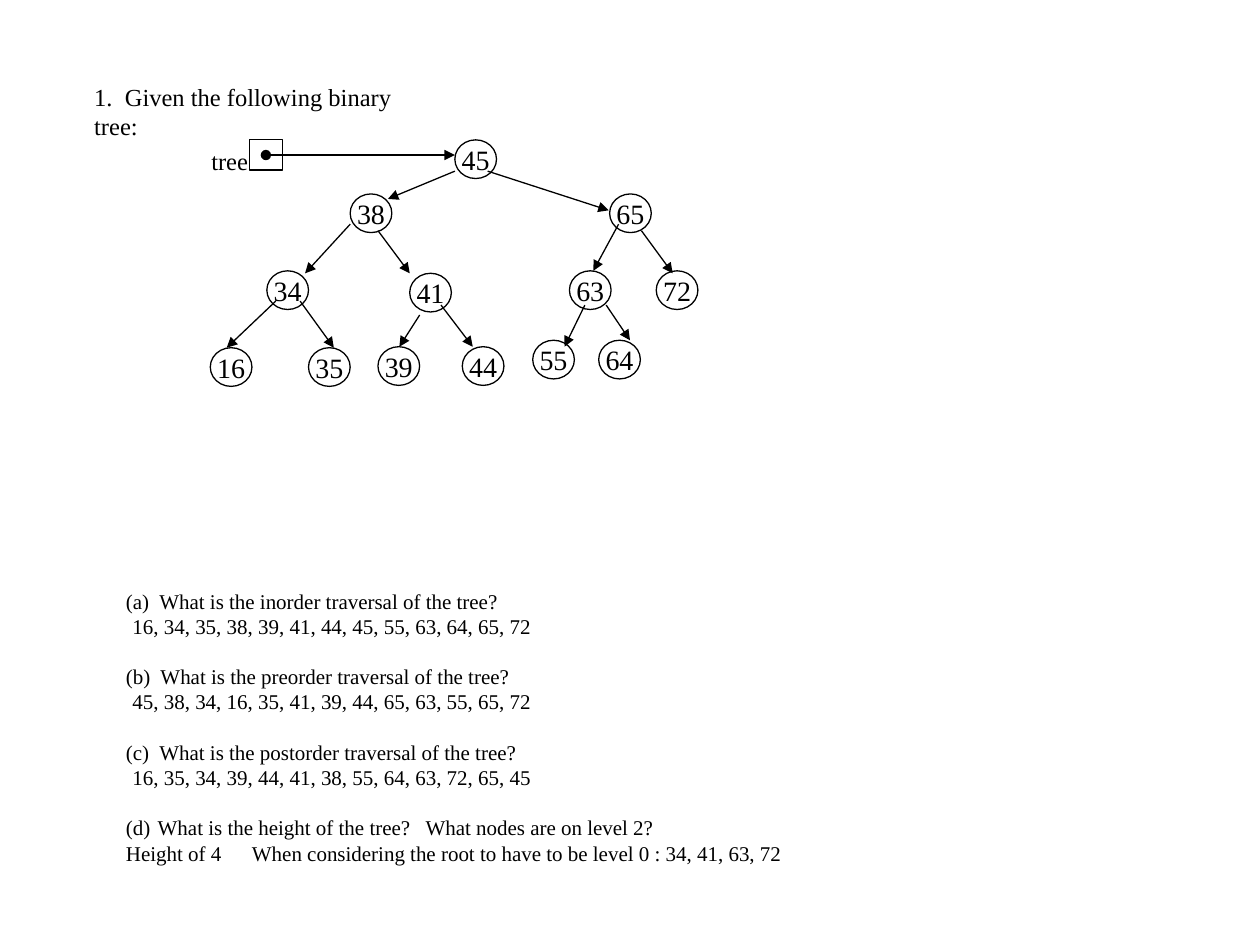
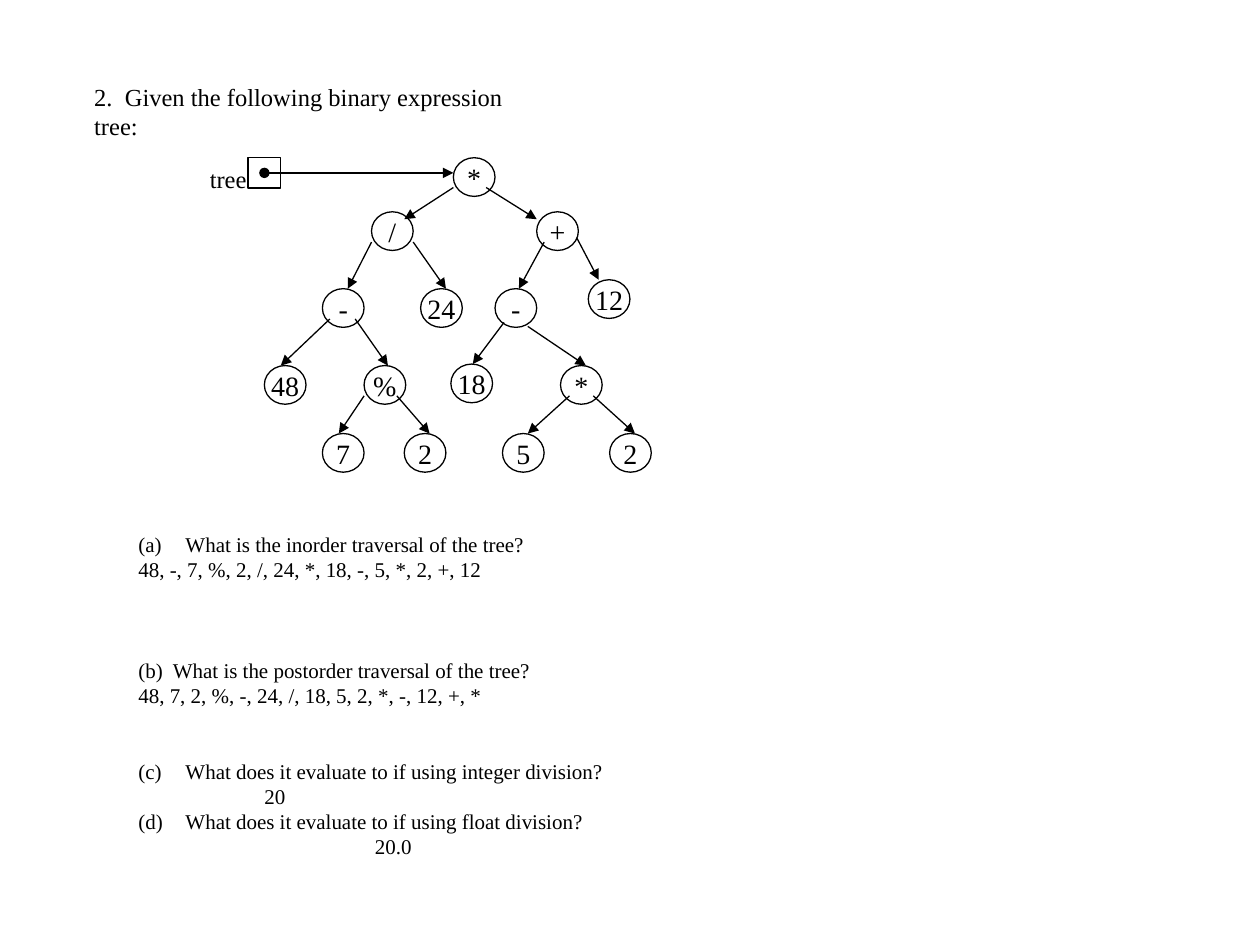
import lxml.etree
import pptx
import pptx.dml.color
import pptx.enum.shapes
import pptx.enum.text
import pptx.oxml.ns
import pptx.util

Cm = pptx.util.Cm
Pt = pptx.util.Pt
qn = pptx.oxml.ns.qn
SHAPES = pptx.enum.shapes.MSO_SHAPE
INK = pptx.dml.color.RGBColor(0x00, 0x00, 0x00)
FONT_NAME = "Times New Roman"
TITLE_SIZE, BODY_SIZE, NODE_SIZE = 14, 12, 16
LEADING = 1.2
BODY_LINE = BODY_SIZE * LEADING
NODE_WIDTH, NODE_HEIGHT = 0.84, 0.78
HANGING = 0.95

SEARCH_TREE = [
    ("45", 9.17, 2.82, None),
    ("38", 7.06, 3.91, (9.17, 3.45, 7.82, 4.01)),
    ("65", 12.29, 3.91, (9.83, 3.45, 12.27, 4.24)),
    ("34", 5.38, 5.46, (7.06, 4.52, 6.15, 5.51)),
    ("41", 8.26, 5.51, (7.62, 4.65, 8.26, 5.51)),
    ("63", 11.48, 5.46, (12.47, 4.52, 11.96, 5.46)),
    ("72", 13.23, 5.46, (12.93, 4.65, 13.56, 5.51)),
    ("16", 4.24, 7.01, (5.56, 6.07, 4.57, 7.01)),
    ("35", 6.22, 7.01, (6.05, 6.07, 6.73, 7.01)),
    ("39", 7.62, 6.99, (8.46, 6.35, 8.05, 6.99)),
    ("44", 9.32, 6.99, (8.89, 6.15, 9.53, 6.99)),
    ("55", 10.74, 6.86, (11.79, 6.15, 11.38, 6.99)),
    ("64", 12.07, 6.86, (12.22, 6.15, 12.7, 6.86)),
]
EXPRESSION_TREE = [
    ("*", 9.14, 3.18, None),
    ("/", 7.49, 4.27, (9.14, 3.78, 8.15, 4.42)),
    ("+", 10.82, 4.27, (9.8, 3.78, 10.82, 4.42)),
    ("-", 6.5, 5.82, (7.49, 4.88, 7.01, 5.82)),
    ("24", 8.48, 5.82, (8.33, 4.88, 8.99, 5.82)),
    ("-", 9.98, 5.82, (10.97, 4.88, 10.46, 5.82)),
    ("12", 11.86, 5.64, (11.63, 4.8, 12.07, 5.64)),
    ("48", 5.33, 7.37, (6.65, 6.43, 5.66, 7.37)),
    ("%", 7.34, 7.37, (7.16, 6.43, 7.82, 7.37)),
    ("18", 9.09, 7.34, (10.16, 6.5, 9.53, 7.34)),
    ("*", 11.3, 7.37, (10.64, 6.58, 11.81, 7.37)),
    ("7", 6.5, 8.74, (7.34, 7.98, 6.83, 8.74)),
    ("2", 8.15, 8.74, (8.0, 7.98, 8.66, 8.74)),
    ("5", 10.13, 8.74, (11.48, 7.98, 10.64, 8.74)),
    ("2", 12.29, 8.74, (11.96, 7.98, 12.8, 8.74)),
]

SEARCH_QUESTIONS = [
    ("(a)  What is the inorder traversal of the tree?", {}),
    ("16, 34, 35, 38, 39, 41, 44, 45, 55, 63, 64, 65, 72", {"left": 0.13}),
    ("(b)  What is the preorder traversal of the tree?", {"gap": 1}),
    ("45, 38, 34, 16, 35, 41, 39, 44, 65, 63, 55, 65, 72", {"left": 0.13}),
    ("(c)  What is the postorder traversal of the tree?", {"gap": 1}),
    ("16, 35, 34, 39, 44, 41, 38, 55, 64, 63, 72, 65, 45", {"left": 0.13}),
    ("What is the height of the tree?   What nodes are on level 2?",
     {"gap": 1, "number": 4, "left": 0.64}),
    ("Height of 4\tWhen considering the root to have to be level 0 : 34, 41, 63, 72",
     {"tab": 5.08}),
]
EXPRESSION_QUESTIONS = [
    ("What is the inorder traversal of the tree?", {"number": 1, "left": HANGING}),
    ("48, -, 7, %, 2, /, 24, *, 18, -, 5, *, 2, +, 12", {}),
    ("(b)  What is the postorder traversal of the tree?", {"gap": 3}),
    ("48, 7, 2, %, -, 24, /, 18, 5, 2, *, -, 12, +, *", {}),
    ("What does it evaluate to if using integer division?",
     {"gap": 2, "number": 3, "left": HANGING}),
    ("20", {"left": 2.54}),
    ("What does it evaluate to if using float division?", {"number": 4, "left": HANGING}),
    ("20.0", {"left": 4.77}),
]


def set_attributes(target, values):
    for name, value in values.items():
        setattr(target, name, value)


def write_run(paragraph, text, size):
    run = paragraph.add_run()
    run.text = text
    set_attributes(run.font, {"name": FONT_NAME, "size": Pt(size)})
    run.font.color.rgb = INK


def outline(shape):
    shape.line.color.rgb = INK
    shape.line.width = Pt(0.75)


def add_text(slide, left, top, width, height, text, size, wrap=True):
    frame = slide.shapes.add_textbox(Cm(left), Cm(top), Cm(width), Cm(height)).text_frame
    frame.word_wrap = wrap
    paragraph = frame.paragraphs[0]
    paragraph.line_spacing = Pt(size * LEADING)
    write_run(paragraph, text, size)


def format_question(paragraph, gap=0, left=0, number=None, tab=None):
    set_attributes(paragraph, {"line_spacing": Pt(BODY_LINE), "space_before": Pt(gap * BODY_LINE)})
    properties = paragraph._p.get_or_add_pPr()
    properties.set("marL", str(Cm(left)))
    properties.set("indent", str(-Cm(left) if number else 0))
    if number:
        lxml.etree.SubElement(properties, qn("a:buFont"), typeface=FONT_NAME)
        lxml.etree.SubElement(properties, qn("a:buAutoNum"),
                              type="alphaLcParenBoth", startAt=str(number))
    if tab:
        stops = lxml.etree.SubElement(properties, qn("a:tabLst"))
        lxml.etree.SubElement(stops, qn("a:tab"), pos=str(Cm(tab)), algn="l")


def add_questions(slide, left, top, width, height, questions):
    frame = slide.shapes.add_textbox(Cm(left), Cm(top), Cm(width), Cm(height)).text_frame
    frame.word_wrap = True
    for index, (text, layout) in enumerate(questions):
        paragraph = frame.add_paragraph() if index else frame.paragraphs[0]
        format_question(paragraph, **layout)
        write_run(paragraph, text, BODY_SIZE)


def add_outlined_shape(slide, kind, left, top, width, height):
    shape = slide.shapes.add_shape(kind, Cm(left), Cm(top), Cm(width), Cm(height))
    shape.shadow.inherit = False
    shape.fill.background()
    outline(shape)
    return shape


def add_node(slide, label, left, top):
    shape = add_outlined_shape(slide, SHAPES.OVAL, left, top, NODE_WIDTH, NODE_HEIGHT)
    frame = shape.text_frame
    set_attributes(frame, {
        "word_wrap": False,
        "vertical_anchor": pptx.enum.text.MSO_ANCHOR.MIDDLE,
        "margin_left": 0, "margin_right": 0, "margin_top": 0, "margin_bottom": 0,
    })
    paragraph = frame.paragraphs[0]
    paragraph.alignment = pptx.enum.text.PP_ALIGN.CENTER
    write_run(paragraph, label, NODE_SIZE)


def add_arrow(slide, ends, dot=False):
    arrow = slide.shapes.add_connector(
        pptx.enum.shapes.MSO_CONNECTOR.STRAIGHT, *[Cm(end) for end in ends])
    outline(arrow)
    line = arrow.line._get_or_add_ln()
    if dot:
        lxml.etree.SubElement(line, qn("a:headEnd"), type="oval")
    lxml.etree.SubElement(line, qn("a:tailEnd"), type="triangle")
    lxml.etree.SubElement(arrow._element.spPr, qn("a:effectLst"))


def add_root_pointer(slide, root_left, root_top):
    box_left, box_width, box_height = root_left - 4.14, 0.66, 0.61
    middle = root_top + box_height / 2
    add_outlined_shape(slide, SHAPES.RECTANGLE, box_left, root_top, box_width, box_height)
    add_text(slide, box_left - 1.02, root_top, 1.3, 0.84, "tree", TITLE_SIZE, wrap=False)
    add_arrow(slide, (box_left + box_width / 2, middle, root_left, middle), dot=True)


def add_tree(slide, nodes):
    for label, left, top, branch in nodes:
        add_node(slide, label, left, top)
        if branch:
            add_arrow(slide, branch)
    add_root_pointer(slide, *nodes[0][1:3])


def add_exercise(presentation, title, title_width, nodes, questions, area):
    slide = presentation.slides.add_slide(presentation.slide_layouts[6])
    add_text(slide, 1.65, 1.52, title_width, 0.84, title, TITLE_SIZE)
    add_questions(slide, *area, questions)
    add_tree(slide, nodes)


def main():
    presentation = pptx.Presentation()
    set_attributes(presentation, {"slide_width": Cm(25.4), "slide_height": Cm(19.05)})
    add_exercise(presentation, "1.  Given the following binary tree:", 7.3,
                 SEARCH_TREE, SEARCH_QUESTIONS, (2.29, 11.73, 21.13, 5.89))
    add_exercise(presentation, "2.  Given the following binary expression tree:", 9.6,
                 EXPRESSION_TREE, EXPRESSION_QUESTIONS, (2.54, 10.59, 10.2, 7.95))
    presentation.save("out.pptx")


if __name__ == "__main__":
    main()
